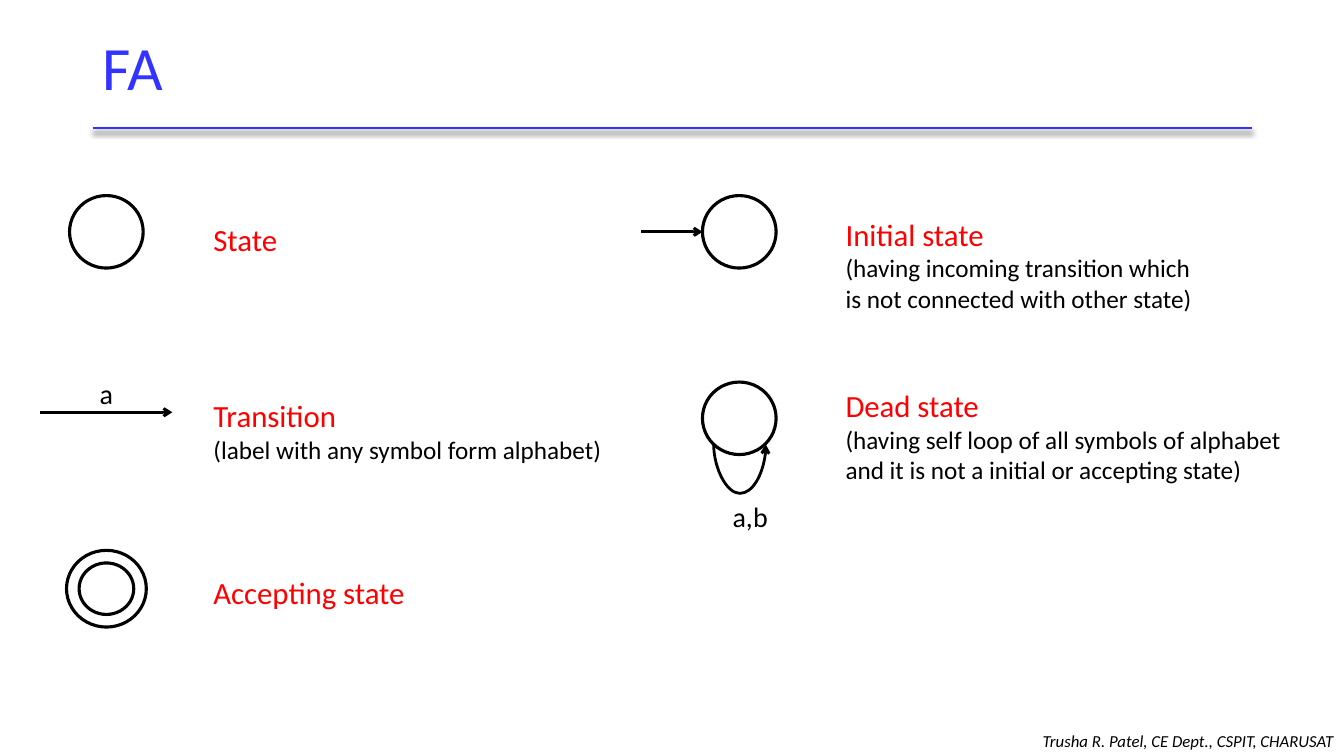
from lxml.etree import SubElement
from pptx import Presentation
from pptx.dml.color import RGBColor
from pptx.enum.shapes import MSO_CONNECTOR, MSO_SHAPE
from pptx.enum.text import MSO_ANCHOR, PP_ALIGN
from pptx.oxml.ns import qn
from pptx.util import Pt

BLUE, RED, BLACK = "3333FF", "FF0000", "000000"
HEADING = {"size": Pt(22), "color": RED}
DETAIL = {"size": Pt(18), "color": BLACK}
SYMBOL = {"size": Pt(20), "color": BLACK}
TITLE = {"size": Pt(44), "color": BLUE}
FOOTER = {"size": Pt(12), "color": BLACK, "italic": True}

LEFT_TEXT, RIGHT_TEXT = 145.4, 596.9
STATE_WIDTH, STATE_HEIGHT = 52.6, 51.8
INITIAL_X = 501.8

# left, top, width, height, heading, detail lines
LEGEND = [
    (LEFT_TEXT, 154.1, 60.5, 33.8, "State", []),
    (LEFT_TEXT, 280.1, 295.2, 55.4, "Transition",
     ["(label with any symbol form alphabet)"]),
    (LEFT_TEXT, 406.1, 152.6, 33.8, "Accepting state", []),
    (RIGHT_TEXT, 150.5, 265, 77.8, "Initial state",
     ["(having incoming transition which", "is not connected with other state)"]),
    (RIGHT_TEXT, 272.9, 329, 77.8, "Dead state",
     ["(having self loop of all symbols of alphabet",
      "and it is not a initial or accepting state)"]),
]
SYMBOLS = [(64.1, 265.7, 24.5, 31.7, "a"), (516.2, 353.5, 39.6, 31.7, "a,b")]
STATES = [(49.7, 139.7), (INITIAL_X, 139.7), (INITIAL_X, 272.9)]
ARROWS = [(28.8, 123.1, 294.5), (457.9, INITIAL_X, 165.6)]  # from x, to x, y


def rgb(value):
    """Turn a hex string into a colour."""
    return RGBColor.from_string(value)


def add_text(page, bounds, lines, wrap=False, anchor=MSO_ANCHOR.TOP, **paragraph_format):
    """Add a text box with one paragraph for each (text, font format) line."""
    box = page.shapes.add_textbox(*map(Pt, bounds))
    frame = box.text_frame
    frame.word_wrap, frame.vertical_anchor = wrap, anchor
    for index, (text, font_format) in enumerate(lines):
        para = frame.add_paragraph() if index else frame.paragraphs[0]
        for name, value in paragraph_format.items():
            setattr(para, name, value)
        span = para.add_run()
        span.text, span.font.name = text, "Calibri"
        for name, value in font_format.items():
            if name == "color":
                span.font.color.rgb = rgb(value)
            else:
                setattr(span.font, name, value)


def add_outline(page, kind, bounds):
    """Add an unfilled shape with a black outline."""
    shape = page.shapes.add_shape(kind, *map(Pt, bounds))
    shape.shadow.inherit = False
    shape.fill.background()
    shape.line.color.rgb, shape.line.width = rgb(BLACK), Pt(2.25)
    return shape


def add_line(page, start, end, color=BLACK, width=2, arrow=True, kind=MSO_CONNECTOR.STRAIGHT):
    """Add a connector; return it with its empty effect list."""
    line = page.shapes.add_connector(kind, *map(Pt, start + end))
    line.line.color.rgb, line.line.width = rgb(color), Pt(width)
    if arrow:
        SubElement(line.line._get_or_add_ln(), qn("a:tailEnd"), type="arrow")
    return line, SubElement(line._element.spPr, qn("a:effectLst"))


def add_title_rule(page):
    """Draw the line under the title with its soft shadow."""
    _, effects = add_line(page, (66.2, 91.4), (894.2, 91.4), BLUE, 1.75, arrow=False)
    shadow = SubElement(effects, qn("a:outerShdw"), blurRad=str(Pt(4)), dist=str(Pt(3)),
                        dir="5400000", algn="t", rotWithShape="0")
    color = SubElement(shadow, qn("a:srgbClr"), val=BLACK)
    SubElement(color, qn("a:alpha"), val="40000")


def add_self_loop(page, center_x, center_y, span_width, depth):
    """Draw a loop hanging below a state: a turned curve, 1 pt wide before turning."""
    half = span_width / 2
    loop, _ = add_line(page, (center_x - 0.5, center_y - half),
                       (center_x + 0.5, center_y + half), kind=MSO_CONNECTOR.CURVE)
    properties = loop._element.spPr
    for name, value in {"rot": "16200000", "flipH": "1"}.items():
        properties.find(qn("a:xfrm")).set(name, value)
    adjustments = properties.find(qn("a:prstGeom")).find(qn("a:avLst"))
    SubElement(adjustments, qn("a:gd"), name="adj1", fmla=f"val {depth * 100000}")


deck = Presentation()
deck.slide_width, deck.slide_height = Pt(960), Pt(540)
page = deck.slides.add_slide(deck.slide_layouts[6])

add_title_rule(page)
add_text(page, (66.2, 14.4, 828, 72), [("FA", TITLE)], wrap=True,
         anchor=MSO_ANCHOR.MIDDLE, line_spacing=0.9)
add_text(page, (635.8, 511.2, 324, 28.8),
         [("Trusha R. Patel, CE Dept., CSPIT, CHARUSAT", FOOTER)], wrap=True,
         anchor=MSO_ANCHOR.BOTTOM, alignment=PP_ALIGN.RIGHT)

for left, top in STATES:
    add_outline(page, MSO_SHAPE.OVAL, (left, top, STATE_WIDTH, STATE_HEIGHT))
accepting = add_outline(page, MSO_SHAPE.DONUT, (47.5, 393.1, 57, 54.8))
accepting.adjustments[0] = 0.164
for start_x, end_x, y in ARROWS:
    add_line(page, (start_x, y), (end_x, y))
add_self_loop(page, 528.4, 317.2, 37.4, 36)

for *bounds, heading, details in LEGEND:
    add_text(page, bounds, [(heading, HEADING)] + [(text, DETAIL) for text in details])
for *bounds, symbol in SYMBOLS:
    add_text(page, bounds, [(symbol, SYMBOL)])

deck.save("out.pptx")
